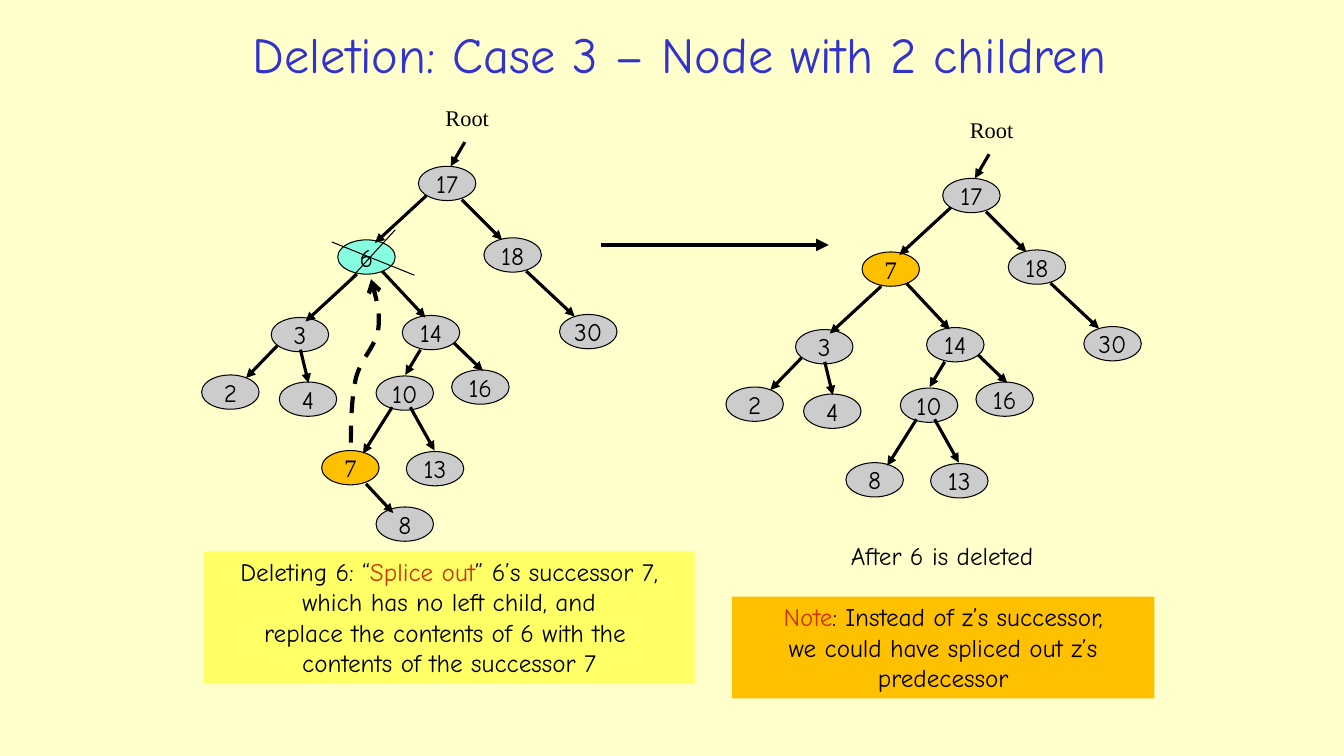
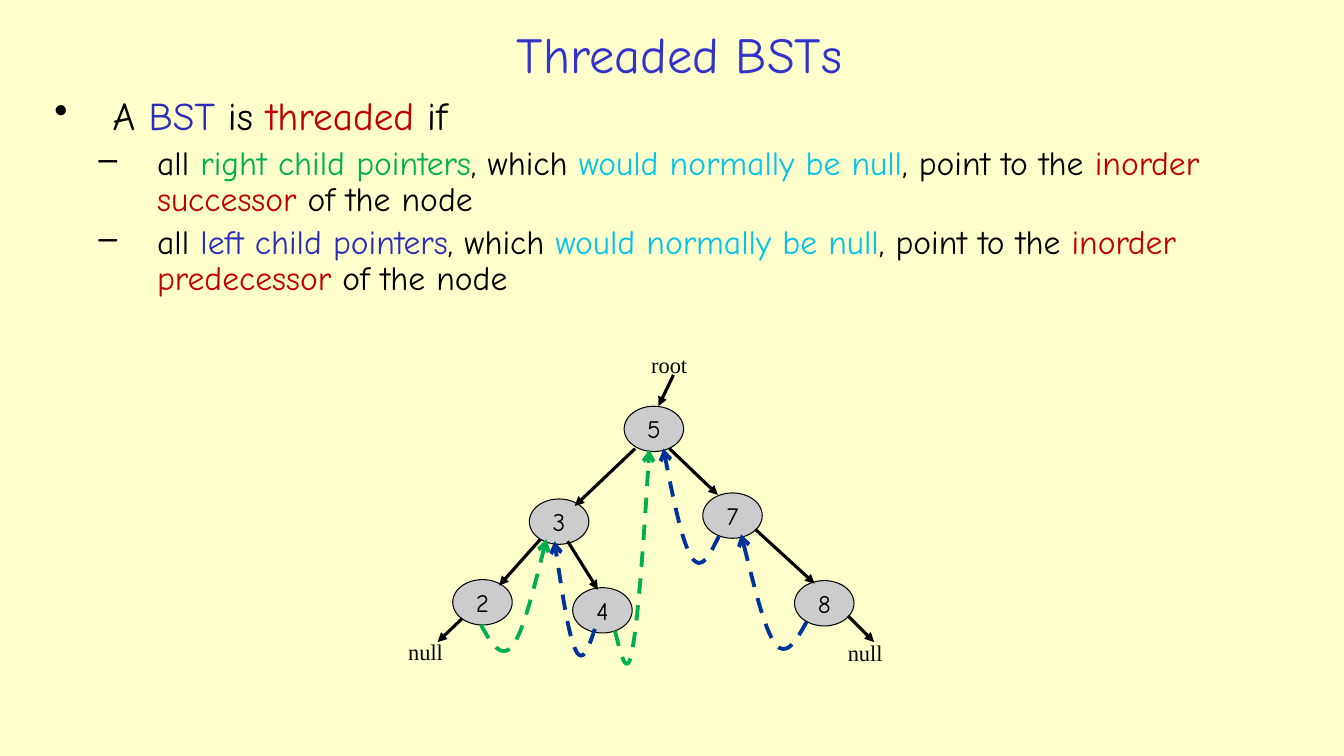
from dataclasses import dataclass

from lxml import etree
from pptx import Presentation
from pptx.dml.color import RGBColor
from pptx.enum.dml import MSO_LINE
from pptx.enum.shapes import MSO_CONNECTOR, MSO_SHAPE
from pptx.enum.text import MSO_ANCHOR, PP_ALIGN
from pptx.oxml.ns import qn
from pptx.slide import Slide
from pptx.text.text import TextFrame
from pptx.util import Emu, Pt

PX = 9144  # EMU in one px, 100 px to the inch
LEFT, CENTER = PP_ALIGN.LEFT, PP_ALIGN.CENTER
TOP, MIDDLE = MSO_ANCHOR.TOP, MSO_ANCHOR.MIDDLE
OVAL, RECTANGLE = MSO_SHAPE.OVAL, MSO_SHAPE.RECTANGLE
STRAIGHT, DASH = MSO_CONNECTOR.STRAIGHT, MSO_LINE.DASH


@dataclass(frozen=True)
class Theme:
    hand: str = "Comic Neue"
    serif: str = "Times New Roman"
    paper: str = "FFFFCC"
    title: str = "3333CC"
    ink: str = "000000"
    node: str = "CCCCCC"
    deleted: str = "85FFE0"
    successor: str = "FFC000"
    yellow: str = "FFFF66"
    accent: str = "CC3300"
    blue: str = "2D2DB9"
    red: str = "C00000"
    green: str = "00B050"
    cyan: str = "07C3E9"
    navy: str = "003399"
    title_size: int = 36
    lead_size: int = 28
    point_size: int = 24
    text_size: int = 18
    label_size: int = 16
    outline: float = 0.75
    edge: float = 2.25
    thread: float = 2.75
    heavy: float = 3


THEME = Theme()
Point = tuple[int, int]
Box = tuple[int, int, int, int]
Line = list["Run"]


@dataclass(frozen=True)
class Run:
    text: str
    color: str = THEME.ink
    font: str = THEME.hand
    size: int = THEME.text_size


@dataclass(frozen=True)
class Node:
    label: str
    x: int
    y: int
    fill: str = THEME.node
    font: str = THEME.hand


@dataclass(frozen=True)
class Edge:
    x1: int
    y1: int
    x2: int
    y2: int


@dataclass(frozen=True)
class Curve:
    start: Point
    controls: tuple[Point, ...]  # three points for each Bézier segment
    color: str
    width: float = THEME.thread


def px(*lengths: int) -> list[Emu]:
    return [Emu(length * PX) for length in lengths]


def rgb(color: str) -> RGBColor:
    return RGBColor.from_string(color)


def write(frame: TextFrame, lines: list[Line], align=LEFT, anchor=TOP, wrap: bool = True) -> None:
    frame.word_wrap = wrap
    frame.vertical_anchor = anchor
    for index, line in enumerate(lines):
        paragraph = frame.paragraphs[0] if index == 0 else frame.add_paragraph()
        paragraph.alignment = align
        for part in line:
            run = paragraph.add_run()
            run.text = part.text
            run.font.name = part.font
            run.font.size = Pt(part.size)
            run.font.color.rgb = rgb(part.color)


def add_text(slide: Slide, box: Box, lines: list[Line], align=LEFT, anchor=TOP) -> TextFrame:
    frame = slide.shapes.add_textbox(*px(*box)).text_frame
    write(frame, lines, align, anchor)
    return frame


def add_label(slide: Slide, x: int, y: int, text: str) -> None:
    add_text(slide, (x, y, 75, 37), [[Run(text, font=THEME.serif, size=THEME.label_size)]])


def add_note(slide: Slide, box: Box, fill: str, lines: list[Line]) -> None:
    note = slide.shapes.add_shape(RECTANGLE, *px(*box))
    note.shadow.inherit = False
    note.fill.solid()
    note.fill.fore_color.rgb = rgb(fill)
    note.line.fill.background()
    write(note.text_frame, lines, CENTER)


def add_arrowhead(shape, kind: str) -> None:
    outline = next(shape.element.iter(qn("a:ln")))
    etree.SubElement(outline, qn("a:tailEnd"), type=kind)


def add_line(slide: Slide, edge: Edge, width: float = THEME.edge, arrow: bool = True) -> None:
    line = slide.shapes.add_connector(STRAIGHT, *px(edge.x1, edge.y1, edge.x2, edge.y2))
    line.line.color.rgb = rgb(THEME.ink)
    line.line.width = Pt(width)
    etree.SubElement(line.element.spPr, qn("a:effectLst"))
    if arrow:
        add_arrowhead(line, "triangle")


def add_curve(slide: Slide, curve: Curve) -> None:
    builder = slide.shapes.build_freeform(*curve.start, scale=PX)
    builder.add_line_segments(curve.controls, close=False)
    shape = builder.convert_to_shape()
    shape.shadow.inherit = False
    shape.fill.background()
    shape.line.color.rgb = rgb(curve.color)
    shape.line.width = Pt(curve.width)
    shape.line.dash_style = DASH
    add_arrowhead(shape, "arrow")
    # Turn each three straight steps into one Bézier segment
    outline = next(shape.element.iter(qn("a:path")))
    steps = outline.findall(qn("a:lnTo"))
    for first in range(0, len(steps), 3):
        bezier = etree.SubElement(outline, qn("a:cubicBezTo"))
        for step in steps[first:first + 3]:
            bezier.append(step[0])
            outline.remove(step)


def add_tree(slide: Slide, nodes: list[Node], edges: list[Edge], size: Point,
             shift: Point = (0, 0)) -> None:
    dx, dy = shift
    for node in nodes:
        oval = slide.shapes.add_shape(OVAL, *px(node.x + dx, node.y + dy, *size))
        oval.shadow.inherit = False
        oval.fill.solid()
        oval.fill.fore_color.rgb = rgb(node.fill)
        oval.line.color.rgb = rgb(THEME.ink)
        oval.line.width = Pt(THEME.outline)
        write(oval.text_frame, [[Run(node.label, font=node.font)]], CENTER, MIDDLE, wrap=False)
    for edge in edges:
        add_line(slide, Edge(edge.x1 + dx, edge.y1 + dy, edge.x2 + dx, edge.y2 + dy))


def add_bullets(slide: Slide, box: Box, points: list[tuple[str, int, Line]]) -> None:
    frame = add_text(slide, box, [line for _, _, line in points])
    for index, (paragraph, (mark, margin, _)) in enumerate(zip(frame.paragraphs, points)):
        paragraph.line_spacing = 0.9
        paragraph.space_before = Pt(5 if index else 0)
        properties = paragraph._p.get_or_add_pPr()
        properties.set("marL", str(margin * PX))
        properties.set("indent", str(-58 * PX))
        etree.SubElement(properties, qn("a:buChar"), char=mark)


def new_slide(prs, title: str) -> Slide:
    slide = prs.slides.add_slide(prs.slide_layouts[6])
    heading = [Run(title, THEME.title, size=THEME.title_size)]
    add_text(slide, (197, 15, 954, 76), [heading], CENTER, MIDDLE)
    return slide


# Binary search tree before and after the deletion
SHARED_NODES = [
    Node("17", 415, 165), Node("18", 480, 236), Node("30", 555, 312), Node("3", 269, 315),
    Node("14", 399, 313), Node("2", 200, 372), Node("4", 277, 379), Node("16", 448, 367),
    Node("10", 373, 373), Node("13", 403, 448),
]
SHARED_EDGES = [
    Edge(461, 141, 447, 165), Edge(423, 194, 372, 241), Edge(458, 198, 498, 238),
    Edge(522, 269, 570, 314), Edge(354, 272, 303, 319), Edge(379, 269, 422, 315),
    Edge(275, 343, 244, 375), Edge(298, 347, 306, 380), Edge(450, 340, 479, 368),
    Edge(417, 347, 402, 372), Edge(389, 404, 360, 450), Edge(407, 404, 431, 447),
]
BEFORE_NODES = [
    Node("6", 335, 238, THEME.deleted), Node("7", 319, 447, THEME.successor, THEME.serif),
    Node("8", 373, 503),
]
AFTER_NODES = [Node("7", 335, 238, THEME.successor, THEME.serif), Node("8", 319, 447)]
AFTER_SHIFT = (520, 12)


def deletion_slide(prs) -> None:
    slide = new_slide(prs, "Deletion: Case 3 – Node with 2 children")
    node_size = (57, 34)

    # Trees
    add_label(slide, 432, 98, "Root")
    add_tree(slide, SHARED_NODES + BEFORE_NODES, SHARED_EDGES + [Edge(363, 480, 390, 509)], node_size)
    add_label(slide, 432 + AFTER_SHIFT[0], 98 + AFTER_SHIFT[1], "Root")
    add_tree(slide, SHARED_NODES + AFTER_NODES, SHARED_EDGES, node_size, AFTER_SHIFT)
    add_line(slide, Edge(596, 243, 822, 243), THEME.heavy)

    # Successor moves up, node 6 is struck out
    add_curve(slide, Curve((348, 439), ((348, 416), (349, 393), (353, 375),
                                        (358, 356), (372, 344), (375, 328),
                                        (377, 312), (373, 294), (368, 277)), THEME.ink, THEME.heavy))
    for strike in (Edge(392, 228, 339, 286), Edge(329, 240, 411, 273)):
        add_line(slide, strike, THEME.outline, arrow=False)

    # Explanations
    add_note(slide, (202, 547, 487, 131), THEME.yellow, [
        [Run("Deleting 6: “"), Run("Splice out", THEME.accent), Run("” 6’s successor 7,")],
        [Run("which has no left child, and")],
        [Run("replace the contents of 6 with the ")],
        [Run("contents of the successor 7")],
    ])
    add_text(slide, (834, 531, 237, 40), [[Run("After 6 is deleted")]])
    add_note(slide, (726, 592, 419, 101), THEME.successor, [
        [Run("Note", THEME.accent), Run(": Instead of z’s successor,")],
        [Run("we could have spliced out z’s predecessor")],
    ])


def thread_rule(side: str, side_color: str, target: str) -> Line:
    parts = [
        ("all ", THEME.ink), (f"{side} child pointers", side_color), (", which ", THEME.ink),
        ("would normally be null", THEME.cyan), (", point to the ", THEME.ink),
        (f"inorder {target} ", THEME.red), ("of the node", THEME.ink),
    ]
    return [Run(text, color, size=THEME.point_size) for text, color in parts]


def threaded_slide(prs) -> None:
    slide = new_slide(prs, "Threaded BSTs")

    # Definition
    lead = [("A ", THEME.ink), ("BST", THEME.blue), (" is ", THEME.ink),
            ("threaded", THEME.red), (" if", THEME.ink)]
    add_bullets(slide, (44, 91, 1257, 221), [
        ("•", 58, [Run(text, color, size=THEME.lead_size) for text, color in lead]),
        ("–", 102, thread_rule("right", THEME.green, "successor")),
        ("–", 102, thread_rule("left", THEME.blue, "predecessor")),
    ])

    # Tree with its null pointers
    nodes = [Node("5", 619, 403), Node("3", 525, 495), Node("7", 697, 489),
             Node("8", 788, 576), Node("2", 449, 575), Node("4", 568, 583)]
    edges = [
        Edge(668, 372, 653, 403), Edge(630, 445, 570, 502), Edge(664, 445, 712, 491),
        Edge(749, 525, 808, 579), Edge(536, 535, 495, 581), Edge(563, 537, 593, 585),
        Edge(458, 614, 434, 637), Edge(841, 611, 867, 637),
    ]
    add_tree(slide, nodes, edges, (59, 45))
    for x, y, text in ((636, 343, "root"), (395, 628, "null"), (831, 629, "null")):
        add_label(slide, x, y, text)

    # Threads: green to the successor, navy to the predecessor
    threads = [
        Curve((477, 620), ((487, 638), (497, 655), (508, 641),
                           (519, 627), (530, 581), (542, 535)), THEME.green),
        Curve((590, 624), ((584, 642), (578, 660), (571, 645),
                           (564, 631), (557, 584), (550, 537)), THEME.navy),
        Curve((610, 626), ((616, 650), (622, 675), (627, 645),
                           (633, 615), (639, 530), (644, 446)), THEME.green),
        Curve((713, 532), ((704, 550), (696, 568), (686, 553),
                           (677, 539), (667, 492), (658, 445)), THEME.navy),
        Curve((800, 617), ((790, 635), (780, 653), (769, 639),
                           (758, 624), (747, 577), (735, 530)), THEME.navy),
    ]
    for thread in threads:
        add_curve(slide, thread)


def main() -> None:
    prs = Presentation()
    prs.slide_width, prs.slide_height = px(1333, 750)
    paper = prs.slide_master.background.fill
    paper.solid()
    paper.fore_color.rgb = rgb(THEME.paper)
    deletion_slide(prs)
    threaded_slide(prs)
    prs.save("out.pptx")


if __name__ == "__main__":
    main()
